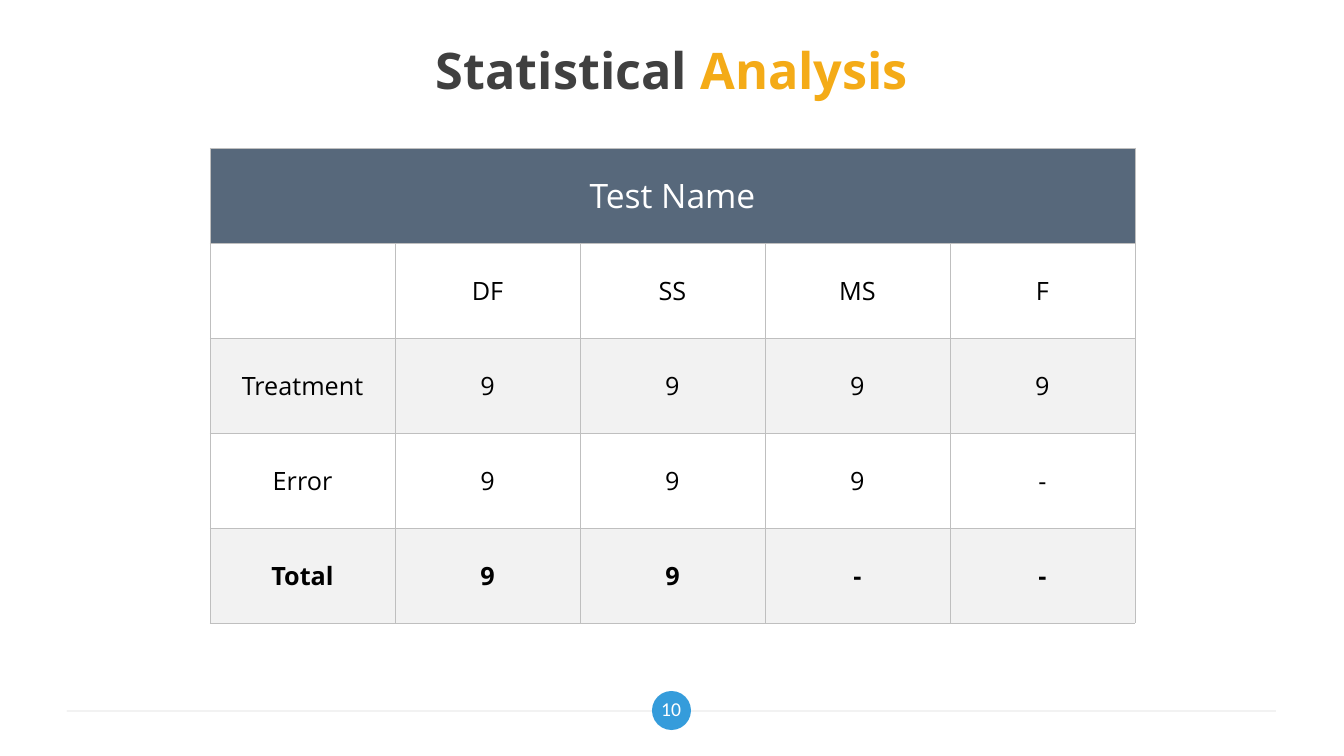
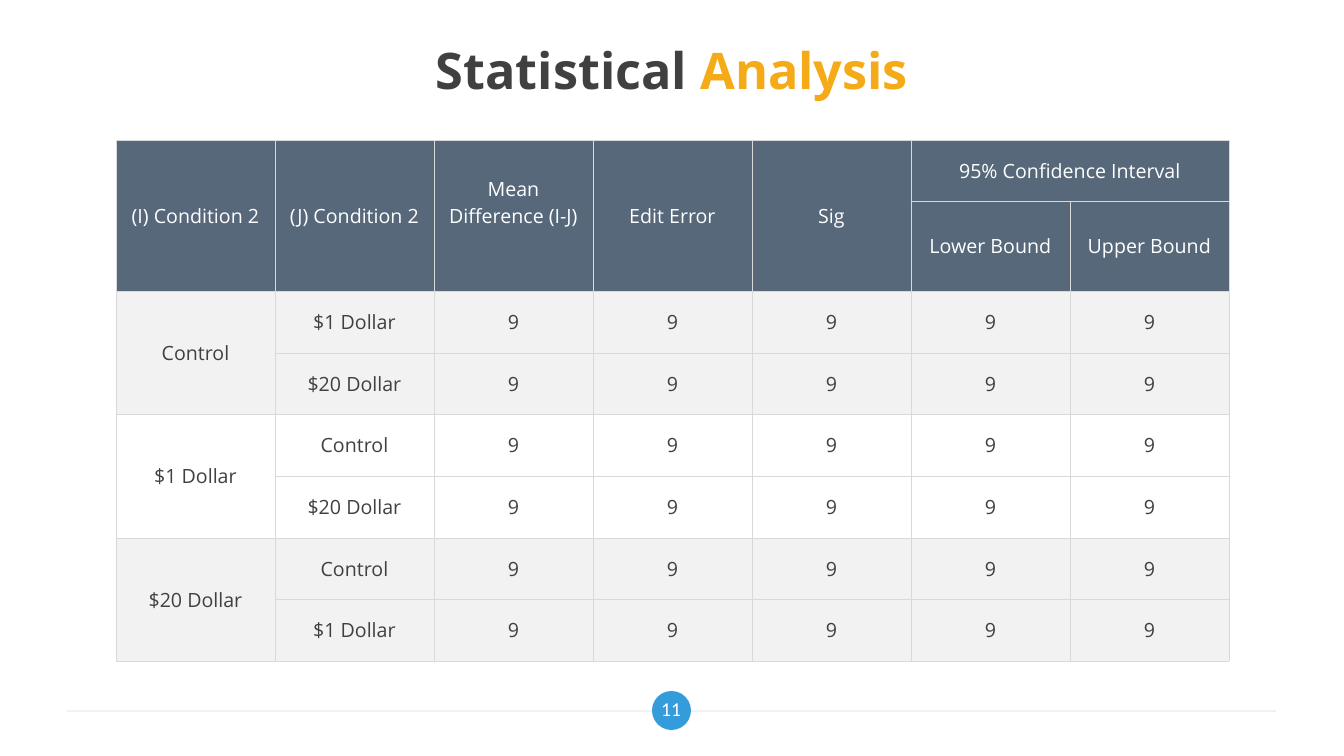
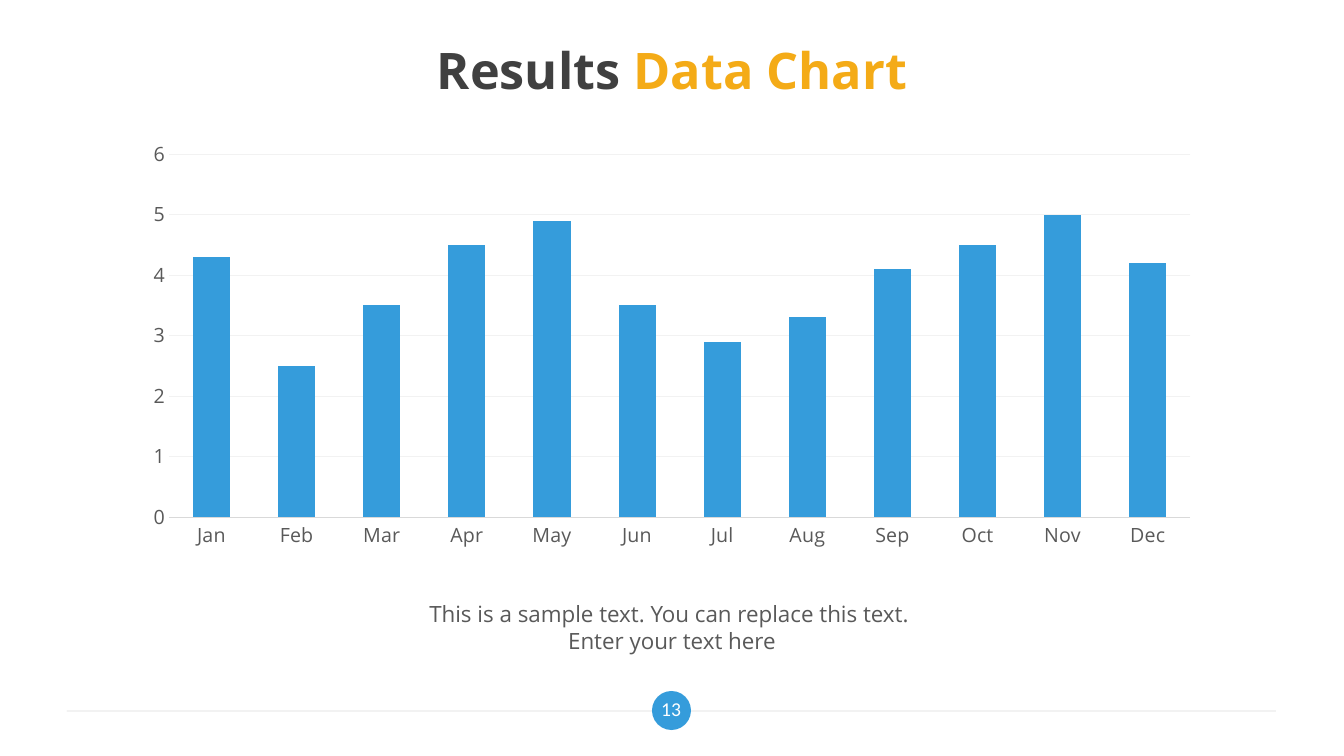
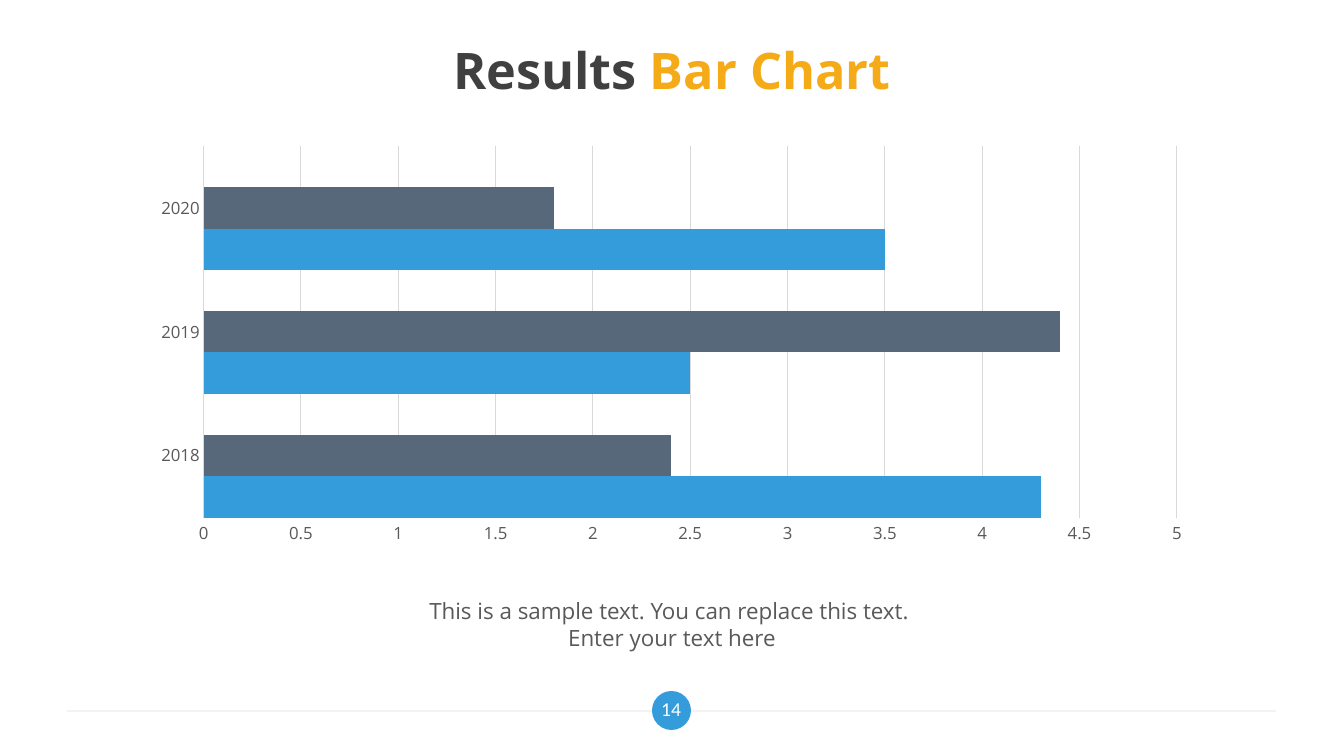
from lxml.etree import SubElement
from pptx import Presentation
from pptx.chart.data import CategoryChartData
from pptx.dml.color import RGBColor
from pptx.enum.chart import XL_CHART_TYPE as ChartType, XL_TICK_MARK as TickMark
from pptx.enum.shapes import MSO_CONNECTOR as Connector, MSO_SHAPE as Preset
from pptx.enum.text import MSO_ANCHOR as Anchor, MSO_AUTO_SIZE as AutoSize, PP_ALIGN as Align
from pptx.oxml import parse_xml
from pptx.oxml.ns import nsdecls, qn
from pptx.util import Emu, Pt

SLIDE_WIDTH, SLIDE_HEIGHT = 1344, 756
EMU_PER_PX = 12192000 / SLIDE_WIDTH
FONT = "Open Sans"
NUMBER_FONT = "Calibri"
BLUE, SLATE, AMBER = "359CDB", "57687B", "F4AB17"
WHITE, BLACK, DARK, GREY = "FFFFFF", "000000", "404040", "595959"
PALE, RULE, BORDER = "F2F2F2", "D9D9D9", "BFBFBF"
CAPTION = ("This is a sample text. You can replace this text. ", "Enter your text here")
MONTHS = ("Jan", "Feb", "Mar", "Apr", "May", "Jun", "Jul", "Aug", "Sep", "Oct", "Nov", "Dec")


def px(length):
    return Emu(round(length * EMU_PER_PX))


def box(left, top, width, height):
    return px(left), px(top), px(width), px(height)


def color(value):
    return RGBColor.from_string(value)


def style_font(font, size, value, bold=False, name=FONT):
    font.name = name
    font.size = Pt(size)
    font.bold = bold
    font.color.rgb = color(value)


def add_run(paragraph, text, size, value, bold=False, name=FONT):
    paragraph.alignment = Align.CENTER
    run = paragraph.add_run()
    run.text = text
    style_font(run.font, size, value, bold, name)


def add_lines(frame, lines, size, value, bold=False, name=FONT):
    for index, line in enumerate(lines):
        paragraph = frame.add_paragraph() if index else frame.paragraphs[0]
        add_run(paragraph, line, size, value, bold, name)


def set_insets(frame):
    frame.margin_left = frame.margin_right = px(13)
    frame.margin_top = frame.margin_bottom = px(7)
    frame.vertical_anchor = Anchor.MIDDLE
    frame.word_wrap = True


def add_footer_band(slide):
    line = slide.shapes.add_connector(Connector.STRAIGHT, px(67), px(711), px(1276), px(711))
    line.line.color.rgb = color(RULE)
    line.line.width = Pt(0.75)
    properties = line.element.spPr
    SubElement(properties.find(".//" + qn("a:srgbClr")), qn("a:alpha"), val="50000")
    SubElement(properties, qn("a:effectLst"))
    circle = slide.shapes.add_shape(Preset.OVAL, *box(652, 691, 39, 39))
    circle.shadow.inherit = False
    circle.fill.solid()
    circle.fill.fore_color.rgb = color(BLUE)
    circle.line.fill.background()
    for number, shape in enumerate((line, circle), 20):
        shape.element.xpath("./*[1]/p:cNvPr")[0].set("id", str(number))
        slide.slide_layout.shapes.element.append(shape.element)


def add_slide(presentation, first_words, last_words, number):
    slide = presentation.slides.add_slide(presentation.slide_layouts[5])
    title = slide.shapes.title
    title.left, title.top, title.width, title.height = box(67, 30, 1210, 79)
    frame = title.text_frame
    frame.auto_size = AutoSize.NONE
    set_insets(frame)
    add_run(frame.paragraphs[0], first_words, 36, DARK, True)
    add_run(frame.paragraphs[0], last_words, 36, AMBER, True)
    frame = slide.shapes.add_textbox(*box(643, 688, 56, 42)).text_frame
    set_insets(frame)
    add_lines(frame, [str(number)], 14, WHITE, name=NUMBER_FONT)
    return slide


def set_borders(cell, value):
    properties = cell._tc.get_or_add_tcPr()
    for index, side in enumerate(("lnL", "lnR", "lnT", "lnB")):
        border = parse_xml(
            f'<a:{side} {nsdecls("a")} w="3175"><a:solidFill><a:srgbClr val="{value}"/>'
            f'</a:solidFill><a:prstDash val="solid"/></a:{side}>'
        )
        properties.insert(index, border)


def add_table(slide, left, top, column_width, row_heights, rows, border):
    column_count = len(rows[0])
    frame = slide.shapes.add_table(
        len(rows), column_count, *box(left, top, column_width * column_count, sum(row_heights))
    )
    table = frame.table
    table.first_row = table.horz_banding = False
    for column in table.columns:
        column.width = px(column_width)
    for row, height in zip(table.rows, row_heights):
        row.height = px(height)
    for cell in table.iter_cells():
        cell.vertical_anchor = Anchor.MIDDLE
        set_borders(cell, border)
    return table


def fill_row(table, row, texts, fill, size, value, bold=False):
    for column, text in enumerate(texts):
        cell = table.cell(row, column)
        cell.fill.solid()
        cell.fill.fore_color.rgb = color(fill)
        if text:
            add_lines(cell.text_frame, text.split("\n"), size, value, bold)


def merge(table, row, column, last_row, last_column):
    table.cell(row, column).merge(table.cell(last_row, last_column))


def add_test_table(slide):
    rows = (
        ("Test Name", "", "", "", ""),
        ("", "DF", "SS", "MS", "F"),
        ("Treatment", "9", "9", "9", "9"),
        ("Error", "9", "9", "9", "-"),
        ("Total", "9", "9", "-", "-"),
    )
    table = add_table(slide, 210, 148, 185, [95] * len(rows), rows, BORDER)
    fill_row(table, 0, rows[0], SLATE, 24, WHITE)
    for row in range(1, len(rows)):
        fill = WHITE if row % 2 else PALE
        fill_row(table, row, rows[row], fill, 18, BLACK, rows[row][0] == "Total")
    merge(table, 0, 0, 0, 4)


def add_conditions_table(slide):
    conditions = ("Control", "$1 Dollar", "$20 Dollar")
    rows = [
        ("(I) Condition 2", "(J) Condition 2", "Mean\nDifference (I-J)", "Edit Error", "Sig",
         "95% Confidence Interval", ""),
        ("", "", "", "", "", "Lower Bound", "Upper Bound"),
    ]
    for condition in conditions:
        others = [other for other in conditions if other != condition]
        for label, other in zip((condition, ""), others):
            rows.append((label, other) + ("9",) * 5)
    table = add_table(slide, 116, 140, 159, [61, 90] + [62, 61, 62] * 2, rows, RULE)
    for row, texts in enumerate(rows):
        if row < 2:
            fill_row(table, row, texts, SLATE, 14, WHITE)
        else:
            fill_row(table, row, texts, WHITE if row // 2 == 2 else PALE, 14, DARK)
    for column in range(5):
        merge(table, 0, column, 1, column)
    merge(table, 0, 5, 0, 6)
    for row in range(2, len(rows), 2):
        merge(table, row, 0, row + 1, 0)
    table.cell(0, 2).margin_bottom = px(32)


def add_chart(slide, kind, area, categories, series, gap, overlap, size, grid, maximum, unit):
    data = CategoryChartData()
    data.categories = categories
    for index, (values, fill) in enumerate(series, 1):
        data.add_series(f"Series {index}", values)
    chart = slide.shapes.add_chart(kind, *box(*area), data).chart
    chart.has_title = chart.has_legend = False
    style_font(chart.font, size, BLACK)
    plot = chart.plots[0]
    plot.vary_by_categories = False
    plot.gap_width = gap
    plot.overlap = overlap
    for item, (values, fill) in zip(plot.series, series):
        item.format.fill.solid()
        item.format.fill.fore_color.rgb = color(fill)
        item.invert_if_negative = False
    for axis in (chart.category_axis, chart.value_axis):
        axis.major_tick_mark = axis.minor_tick_mark = TickMark.NONE
        style_font(axis.tick_labels.font, size, GREY)
    chart.category_axis.has_major_gridlines = False
    value_axis = chart.value_axis
    value_axis.has_major_gridlines = True
    value_axis.minimum_scale = 0
    value_axis.maximum_scale = maximum
    value_axis.major_unit = unit
    value_axis.tick_labels.number_format = "General"
    value_axis.tick_labels.number_format_is_linked = False
    value_axis.format.line.fill.background()
    for line, value in (
        (chart.category_axis.format.line, RULE),
        (value_axis.major_gridlines.format.line, grid),
    ):
        line.color.rgb = color(value)
        line.width = Pt(0.75)


def add_caption(slide, top):
    frame = slide.shapes.add_textbox(*box(102, top, 1140, 65)).text_frame
    frame.word_wrap = True
    frame.auto_size = AutoSize.SHAPE_TO_FIT_TEXT
    add_lines(frame, CAPTION, 16, GREY)


def main():
    presentation = Presentation()
    presentation.slide_width = px(SLIDE_WIDTH)
    presentation.slide_height = px(SLIDE_HEIGHT)

    slide = add_slide(presentation, "Statistical", " Analysis", 10)
    add_footer_band(slide)
    add_test_table(slide)

    slide = add_slide(presentation, "Statistical", " Analysis", 11)
    add_conditions_table(slide)

    slide = add_slide(presentation, "Results ", "Data Chart", 13)
    monthly = (4.3, 2.5, 3.5, 4.5, 4.9, 3.5, 2.9, 3.3, 4.1, 4.5, 5, 4.2)
    add_chart(slide, ChartType.COLUMN_CLUSTERED, (132, 132, 1080, 425), MONTHS,
              [(monthly, BLUE)], 129, 27, 14, PALE, 6, 1)
    add_caption(slide, 595)

    slide = add_slide(presentation, "Results ", "Bar Chart", 14)
    add_caption(slide, 592)
    yearly = [((4.3, 2.5, 3.5), BLUE), ((2.4, 4.4, 1.8), SLATE), ((None, None, None), BLUE)]
    add_chart(slide, ChartType.BAR_CLUSTERED, (140, 138, 1063, 415), ("2018", "2019", "2020"),
              yearly, 0, 0, 12, RULE, 5, 0.5)

    presentation.save("out.pptx")


if __name__ == "__main__":
    main()
